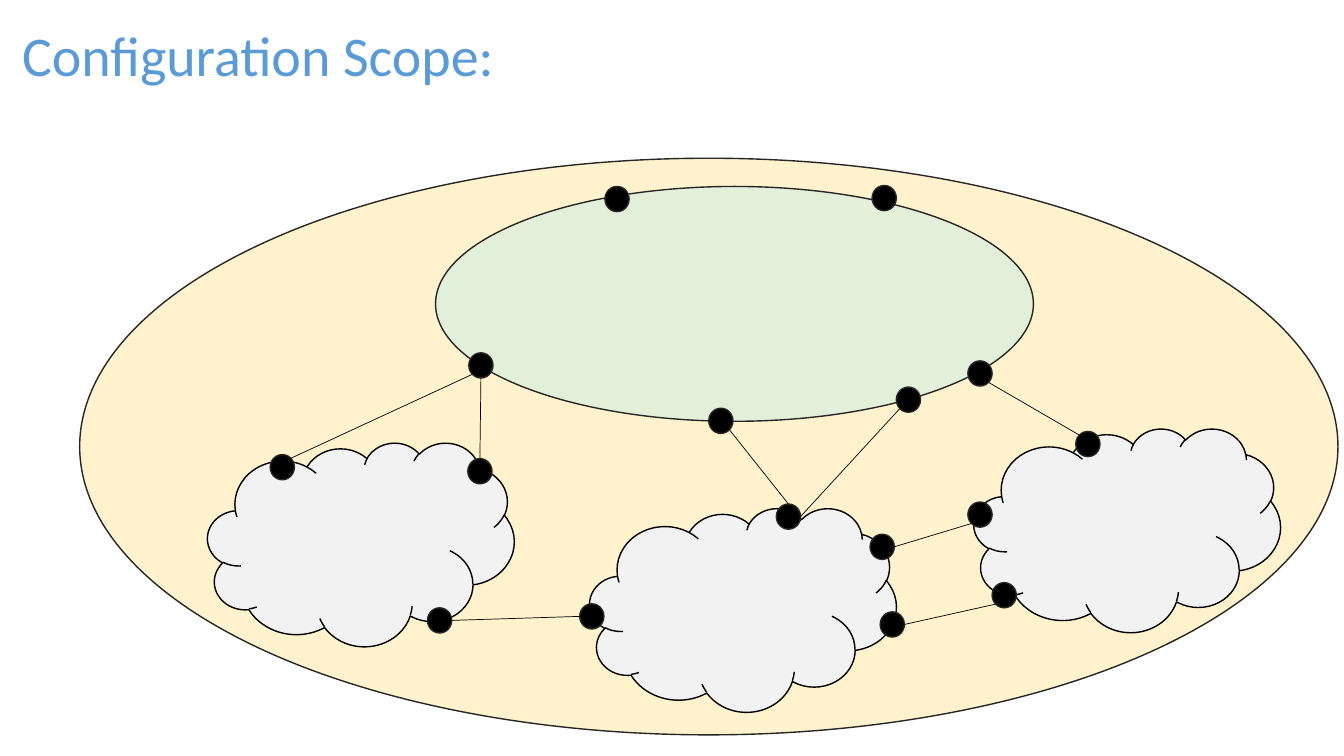
from dataclasses import dataclass
from math import cos, radians, sin

from lxml import etree
from pptx import Presentation
from pptx.dml.color import RGBColor
from pptx.enum import shapes, text
from pptx.oxml.ns import qn
from pptx.util import Inches, Pt


@dataclass(frozen=True)
class Theme:
    font: str = "Calibri"
    title_size: float = 40
    title: str = "5B9BD5"
    domain: str = "FFF2CC"
    core: str = "E2F0D9"
    cloud: str = "F2F2F2"
    node: str = "000000"
    outline: str = "262626"
    link: str = "000000"
    outline_width: float = 1
    link_width: float = 0.5


THEME = Theme()
OVAL, CLOUD = shapes.MSO_SHAPE.OVAL, shapes.MSO_SHAPE.CLOUD
CLOUD_SIZE = (3.04, 2.02)
CORE_SIZE = (5.93, 2.33)
NODE_SIZE = (0.24, 0.25)

# Networks: shape, size, fill, outline and offset within the domain,
# then the offset of each edge node within its network
NETWORKS = {
    "right": (CLOUD, CLOUD_SIZE, THEME.cloud, THEME.link, (8.87, 2.68), {
        "upper": (-0.06, 0.73), "lower": (0.18, 1.53), "top": (1.01, 0.03)}),
    "middle": (CLOUD, CLOUD_SIZE, THEME.cloud, THEME.link, (5.06, 3.47), {
        "west": (-0.1, 0.95), "top": (1.85, -0.04),
        "upper": (2.78, 0.26), "lower": (2.88, 1.03)}),
    "left": (CLOUD, CLOUD_SIZE, THEME.cloud, THEME.link, (1.27, 2.82), {
        "northwest": (0.62, 0.12), "northeast": (2.58, 0.16),
        "south": (2.18, 1.64)}),
    "core": (OVAL, CORE_SIZE, THEME.core, THEME.outline, (3.53, 0.28), {
        "east": (5.28, 1.73), "southeast": (4.57, 1.99), "south": (2.71, 2.2),
        "west": (0.33, 1.65), "northwest": (1.68, 0),
        "northeast": (4.33, -0.01)}),
}

# Links: network, node and clockwise angle from the right, for each end
LINKS = [
    (("core", "west", 90), ("left", "northeast", 270)),
    (("core", "west", 135), ("left", "northwest", 315)),
    (("left", "south", 0), ("middle", "west", 180)),
    (("core", "south", 45), ("middle", "top", 270)),
    (("middle", "top", 0), ("core", "southeast", 135)),
    (("middle", "upper", 0), ("right", "upper", 135)),
    (("middle", "lower", 0), ("right", "lower", 135)),
    (("core", "east", 45), ("right", "top", 225)),
]


def add_area(slide, kind, box, fill, outline):
    area = slide.shapes.add_shape(kind, *map(Inches, box))
    area.shadow.inherit = False
    area.fill.solid()
    area.fill.fore_color.rgb = RGBColor.from_string(fill)
    area.line.color.rgb = RGBColor.from_string(outline)
    area.line.width = Pt(THEME.outline_width)


def add_link(slide, start, end):
    link = slide.shapes.add_connector(
        shapes.MSO_CONNECTOR.STRAIGHT, *map(Inches, start + end))
    link.line.color.rgb = RGBColor.from_string(THEME.link)
    link.line.width = Pt(THEME.link_width)
    etree.SubElement(link._element.spPr, qn("a:effectLst"))


def add_title(slide, box, wording):
    title = slide.shapes.add_textbox(*map(Inches, box))
    frame = title.text_frame
    frame.word_wrap = True
    frame.vertical_anchor = text.MSO_ANCHOR.BOTTOM
    frame.text = wording
    heading = frame.paragraphs[0]
    heading.line_spacing = 0.9
    font = heading.runs[0].font
    font.name, font.size = THEME.font, Pt(THEME.title_size)
    font.color.rgb = RGBColor.from_string(THEME.title)


def rim_point(corner, angle):
    """Point on a node's rim at the given angle."""
    (left, top), (width, height) = corner, NODE_SIZE
    return (left + width / 2 * (1 + cos(radians(angle))),
            top + height / 2 * (1 + sin(radians(angle))))


def add_network_map(slide, box):
    left, top = box[:2]
    add_area(slide, OVAL, box, THEME.domain, THEME.outline)

    # Networks with their edge nodes
    nodes = {}
    for network, (kind, size, fill, outline, (dx, dy), edges) in NETWORKS.items():
        x, y = left + dx, top + dy
        add_area(slide, kind, (x, y) + size, fill, outline)
        for node, (node_dx, node_dy) in edges.items():
            corner = (x + node_dx, y + node_dy)
            nodes[network, node] = corner
            add_area(slide, OVAL, corner + NODE_SIZE, THEME.node, THEME.outline)

    # Links between nodes
    for ends in LINKS:
        start, end = (rim_point(nodes[network, node], angle)
                      for network, node, angle in ends)
        add_link(slide, start, end)


def main():
    deck = Presentation()
    deck.slide_width, deck.slide_height = Inches(13.33), Inches(7.5)
    slide = deck.slides.add_slide(deck.slide_layouts[6])
    add_network_map(slide, (0.79, 1.57, 12.48, 5.72))
    add_title(slide, (0.12, 0, 7.05, 0.93), "Configuration Scope:")
    deck.save("out.pptx")


if __name__ == "__main__":
    main()
